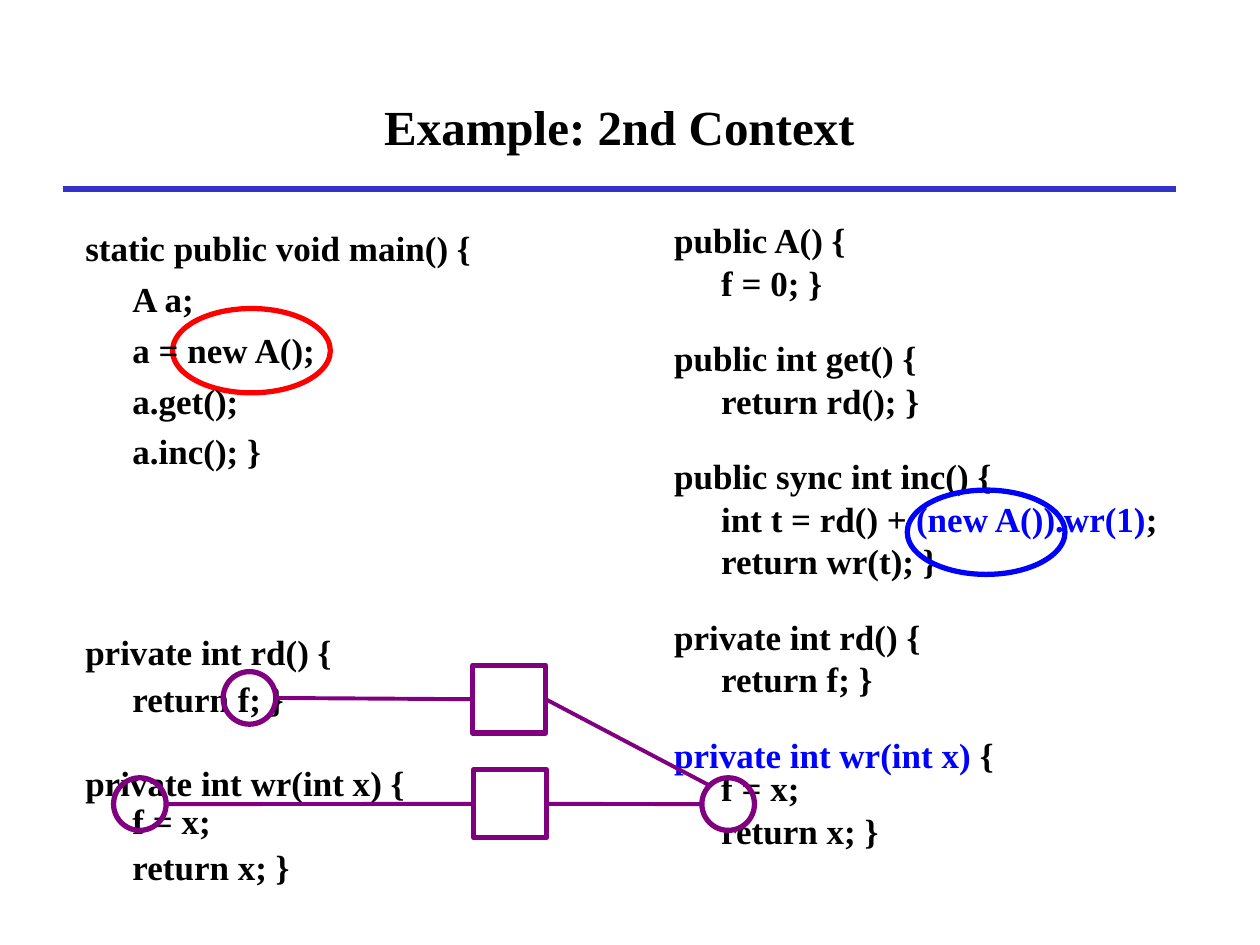
from math import sqrt

from pptx import Presentation
from pptx.dml.color import RGBColor
from pptx.enum.shapes import MSO_CONNECTOR, MSO_SHAPE
from pptx.enum.text import MSO_ANCHOR, PP_ALIGN
from pptx.oxml.ns import qn
from pptx.util import Cm, Pt

FONT = "Times New Roman"
BLACK, BLUE, RED, PURPLE, RULE_BLUE = "000000", "0000FF", "FF0000", "800080", "3333CC"
INDENT = 0.95
RADIUS = 0.53
LINE_GAP = 5

# Each line of code is (space before, pieces); each piece is (text, colour).
MAIN_CODE = [
    (LINE_GAP, [("static public void main() {", BLACK)]),
    (LINE_GAP, [("\tA a;", BLACK)]),
    (LINE_GAP, [("\ta = new A();", BLACK)]),
    (LINE_GAP, [("\ta.get();", BLACK)]),
    (LINE_GAP, [("\ta.inc(); }", BLACK)]),
]
ACCESSOR_GAP, WRITER_GAP = 93.5, 26.5
ACCESSOR_CODE = [
    (ACCESSOR_GAP, [("private int rd() {", BLACK)]),
    (LINE_GAP, [("\treturn f; }", BLACK)]),
    (WRITER_GAP, [("private int wr(int x) {\nf = x;", BLACK)]),
    (LINE_GAP, [("\treturn x; }", BLACK)]),
]
METHOD_GAP = 24
CLASS_CODE = [
    (LINE_GAP, [("public A() {", BLACK)]),
    (LINE_GAP, [("\tf = 0; }", BLACK)]),
    (METHOD_GAP, [("public int get() {", BLACK)]),
    (LINE_GAP, [("\treturn rd(); }", BLACK)]),
    (METHOD_GAP, [("public sync int inc() {", BLACK)]),
    (LINE_GAP, [("\tint t = rd() + ", BLACK), ("(new A()).wr(1)", BLUE), (";", BLACK)]),
    (LINE_GAP, [("\treturn wr(t); }", BLACK)]),
    (METHOD_GAP, [("private int rd() {", BLACK)]),
    (LINE_GAP, [("\treturn f; }", BLACK)]),
    (METHOD_GAP, [("private int wr(int x)", BLUE), (" {\nf = x;", BLACK)]),
    (LINE_GAP, [("\treturn x; }", BLACK)]),
]


def colour(hex_value):
    """Turn a hex string into a colour."""
    return RGBColor.from_string(hex_value)


def write(paragraph, text, size=20, color=BLACK, bold=True):
    """Append formatted text to a paragraph, breaking lines at newlines."""
    for number, piece in enumerate(text.split("\n")):
        if number:
            paragraph.add_line_break()
        run = paragraph.add_run()
        run.text = piece
        run.font.name = FONT
        run.font.size = Pt(size)
        run.font.bold = bold
        run.font.color.rgb = colour(color)


def add_title(slide, text):
    """Place and fill the title placeholder."""
    title = slide.shapes.title
    title.left, title.top, title.width, title.height = Cm(1.27), Cm(1.27), Cm(22.43), Cm(2.54)
    title.text_frame.vertical_anchor = MSO_ANCHOR.MIDDLE
    heading = title.text_frame.paragraphs[0]
    heading.alignment = PP_ALIGN.CENTER
    write(heading, text, size=28)


def add_code(slide, left, width, blocks):
    """Add a column of code from (line spacing, lines) blocks."""
    column = slide.shapes.add_textbox(Cm(left), Cm(4.45), Cm(width), Cm(14.17))
    frame = column.text_frame
    frame.word_wrap = True
    lines = [(spacing, *line) for spacing, block in blocks for line in block]
    for number, (spacing, gap, pieces) in enumerate(lines):
        paragraph = frame.add_paragraph() if number else frame.paragraphs[0]
        paragraph.line_spacing = spacing
        paragraph.space_before = Pt(gap)
        properties = paragraph._p.get_or_add_pPr()
        properties.set("marL", str(Cm(INDENT)))
        properties.set("indent", str(-Cm(INDENT)))
        for text, color in pieces:
            write(paragraph, text, color=color)


def add_outline(slide, kind, left, top, width, height, color):
    """Add an unfilled outlined shape."""
    outline = slide.shapes.add_shape(kind, Cm(left), Cm(top), Cm(width), Cm(height))
    outline.shadow.inherit = False
    outline.fill.background()
    outline.line.color.rgb = colour(color)
    outline.line.width = Pt(3)
    return outline


def add_circle(slide, center):
    """Ring a field access around its center."""
    x, y = center
    add_outline(slide, MSO_SHAPE.OVAL, x - RADIUS, y - RADIUS, 2 * RADIUS, 2 * RADIUS, PURPLE)


def add_line(slide, start, end, color=PURPLE, weight=2.25):
    """Add a straight line between two points."""
    line = slide.shapes.add_connector(
        MSO_CONNECTOR.STRAIGHT, *(Cm(value) for value in (*start, *end)))
    line.line.color.rgb = colour(color)
    line.line.width = Pt(weight)
    properties = line._element.spPr
    properties.append(properties.makeelement(qn("a:effectLst"), {}))
    return line


def link_through(slide, start, box, end):
    """Link two points through the sides of a box."""
    add_line(slide, start, end).end_connect(box, 1)
    add_line(slide, start, end).begin_connect(box, 3)


def main():
    """Build the slide and save it."""
    deck = Presentation()
    deck.slide_width, deck.slide_height = Cm(25.4), Cm(19.05)
    slide = deck.slides.add_slide(deck.slide_layouts[5])

    add_line(slide, (1.27, 3.81), (23.7, 3.81), RULE_BLUE, 3)
    add_title(slide, "Example: 2nd Context")
    add_code(slide, 13.34, 10.36, [(0.8, CLASS_CODE)])
    add_outline(slide, MSO_SHAPE.OVAL, 3.48, 6.22, 3.18, 1.7, RED)
    add_outline(slide, MSO_SHAPE.OVAL, 18.29, 9.88, 3.18, 1.7, BLUE)
    add_code(slide, 1.47, 11.33, [(1.0, MAIN_CODE), (0.9, ACCESSOR_CODE)])

    read, write_local, write_shared = (5.03, 14.07), (2.82, 16.21), (14.68, 16.21)
    for access in (read, write_local, write_shared):
        add_circle(slide, access)
    read_box = add_outline(slide, MSO_SHAPE.RECTANGLE, 9.53, 13.41, 1.47, 1.37, PURPLE)
    write_box = add_outline(slide, MSO_SHAPE.RECTANGLE, 9.55, 15.52, 1.47, 1.37, PURPLE)

    diagonal = RADIUS / sqrt(2)
    shared_x, shared_y = write_shared
    link_through(slide, (read[0] + RADIUS, read[1]), read_box,
                 (shared_x - diagonal, shared_y - diagonal))
    link_through(slide, (write_local[0] + RADIUS, write_local[1]), write_box,
                 (shared_x - RADIUS, shared_y))
    deck.save("out.pptx")


if __name__ == "__main__":
    main()
